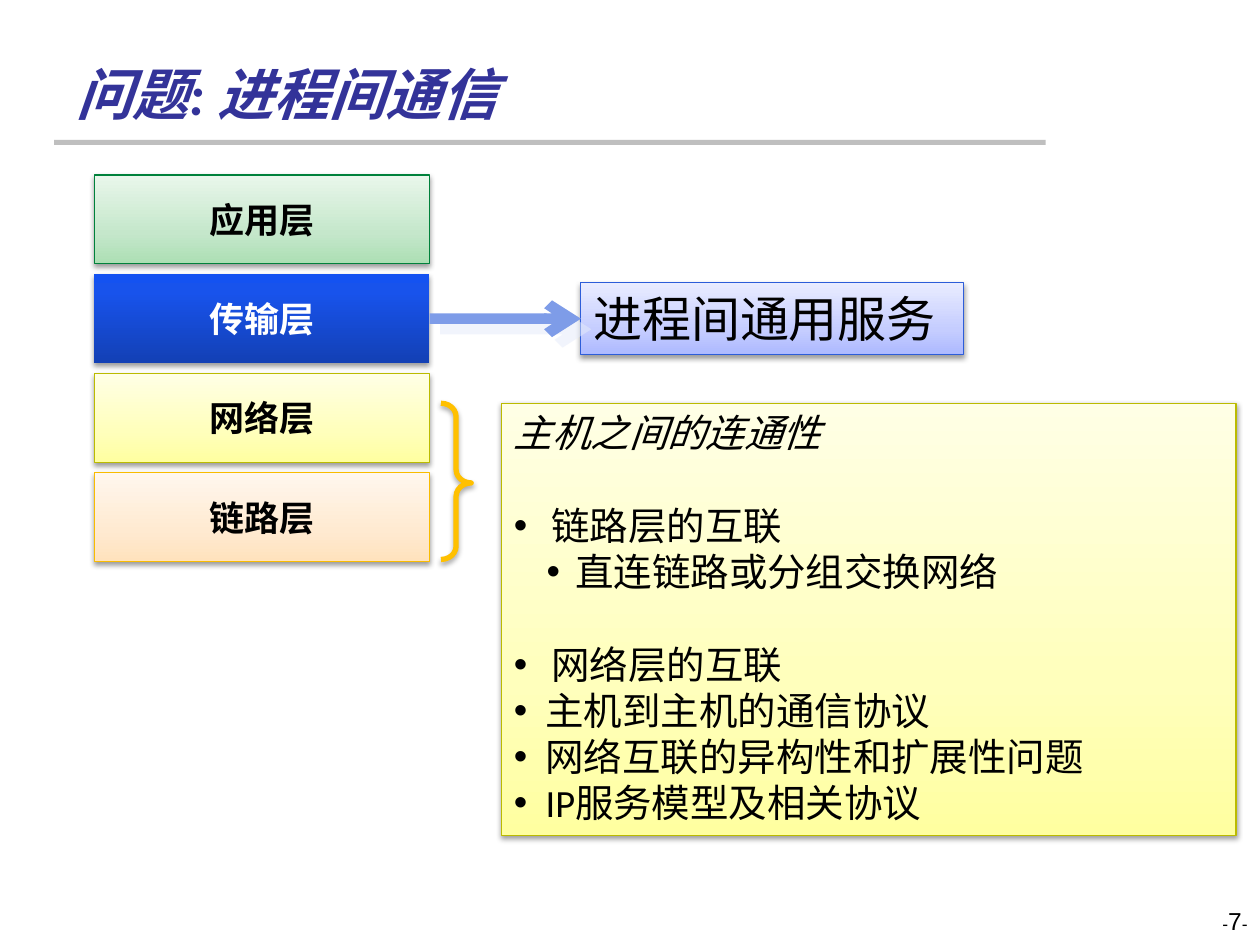
from lxml import etree
from pptx import Presentation
from pptx.dml.color import RGBColor
from pptx.enum.shapes import MSO_CONNECTOR, MSO_SHAPE
from pptx.enum.text import MSO_ANCHOR, PP_ALIGN
from pptx.oxml.ns import qn
from pptx.util import Cm, Pt

RECT, BRACE = MSO_SHAPE.RECTANGLE, MSO_SHAPE.RIGHT_BRACE
STRAIGHT = MSO_CONNECTOR.STRAIGHT
TOP, MIDDLE, BOTTOM = MSO_ANCHOR.TOP, MSO_ANCHOR.MIDDLE, MSO_ANCHOR.BOTTOM
LEFT, CENTER, RIGHT = PP_ALIGN.LEFT, PP_ALIGN.CENTER, PP_ALIGN.RIGHT
LEFT_SIDE, RIGHT_SIDE = 1, 3

# Content
TITLE = "问题: 进程间通信"
CALLOUT = "进程间通用服务"
PAGE_NUMBER = [("-", 10), ("7", 14), ("-", 10)]

GREEN = [(0, "ACDFB4"), (35, "C5E7CB"), (100, "E9F7EB")]
BLUE = [(0, "1340B5"), (80, "1853EC"), (100, "1452F1")]
YELLOW = [(0, "FFFFA0"), (35, "FFFFBC"), (100, "FFFFE5")]
ORANGE = [(0, "FFE2BD"), (35, "FFEAD1"), (100, "FFF7EE")]
LAVENDER = [(0, "ADB9FF"), (35, "C5CDFF"), (100, "E9ECFF")]

# name, gradient, outline, text colour
LAYERS = [
    ("应用层", GREEN, "00813B", "000000"),
    ("传输层", BLUE, None, "FFFFFF"),
    ("网络层", YELLOW, "BBBB00", "000000"),
    ("链路层", ORANGE, "F9BC00", "000000"),
]

# text, bullet position and text position in cm, starts a new group
DETAIL_HEAD = "主机之间的连通性"
DETAILS = [
    ("链路层的互联", 0, 0.76, True),
    ("直连链路或分组交换网络", 0.66, 1.24, False),
    ("网络层的互联", 0, 0.76, True),
    ("主机到主机的通信协议", 0, 0.64, False),
    ("网络互联的异构性和扩展性问题", 0, 0.64, False),
    ("IP服务模型及相关协议", 0, 0.64, False),
]
GROUP_GAP = 26.5

# Layer stack, in cm
STACK_LEFT, STACK_TOP = 1.9, 3.53
LAYER_WIDTH, LAYER_HEIGHT, LAYER_PITCH = 6.76, 1.79, 2.0


def rgb(value):
    return RGBColor.from_string(value)


def add_color(parent, value, alpha=None):
    color = etree.SubElement(parent, qn("a:srgbClr"), val=value)
    if alpha is not None:
        etree.SubElement(color, qn("a:alpha"), val=str(alpha * 1000))


def add_shadow(shape, value="000000", alpha=38, blur=3.1, distance=1.6, angle=90):
    properties = shape._element.spPr
    for old in properties.findall(qn("a:effectLst")):
        properties.remove(old)
    effects = etree.SubElement(properties, qn("a:effectLst"))
    shadow = etree.SubElement(
        effects, qn("a:outerShdw"), blurRad=str(Pt(blur)), dist=str(Pt(distance)),
        dir=str(angle * 60000), algn="tl", rotWithShape="0")
    add_color(shadow, value, alpha)


def add_gradient(shape, stops):
    gradient = etree.SubElement(shape._element.spPr, qn("a:gradFill"), rotWithShape="1")
    stop_list = etree.SubElement(gradient, qn("a:gsLst"))
    for position, value in stops:
        add_color(etree.SubElement(stop_list, qn("a:gs"), pos=str(position * 1000)), value)
    etree.SubElement(gradient, qn("a:lin"), ang=str(270 * 60000), scaled="0")


def set_outline(shape, value, width=0.75):
    if value is None:
        shape.line.fill.background()
    else:
        shape.line.color.rgb = rgb(value)
        shape.line.width = Pt(width)


def add_panel(page, place, stops, outline):
    panel = page.shapes.add_shape(RECT, *map(Cm, place))
    add_gradient(panel, stops)
    set_outline(panel, outline)
    add_shadow(panel)
    return panel


def style(para, size, color="000000", bold=False, italic=False, align=LEFT, font="Calibri"):
    para.alignment = align
    para.font.name = font
    para.font.size = Pt(size)
    para.font.bold = bold
    para.font.italic = italic
    para.font.color.rgb = rgb(color)


def write(shape, text, size, anchor=TOP, wrap=True, **looks):
    frame = shape.text_frame
    frame.word_wrap = wrap
    frame.vertical_anchor = anchor
    para = frame.paragraphs[0]
    para.text = text
    style(para, size, **looks)
    return frame


def add_bullet(para, bullet_at, text_at):
    properties = para._p.get_or_add_pPr()
    properties.set("marL", str(Cm(text_at)))
    properties.set("indent", str(Cm(bullet_at - text_at)))
    etree.SubElement(properties, qn("a:buFont"), typeface="Arial")
    etree.SubElement(properties, qn("a:buChar"), char="•")


deck = Presentation()
deck.slide_width, deck.slide_height = Cm(25.4), Cm(19.05)
page = deck.slides.add_slide(deck.slide_layouts[6])

# Title, rule and page number
rule = page.shapes.add_shape(RECT, Cm(1.09), Cm(2.82), Cm(19.99), Cm(0.1))
rule.shadow.inherit = False
rule.fill.solid()
rule.fill.fore_color.rgb = rgb("BFBFBF")
set_outline(rule, None)

number = page.shapes.add_textbox(Cm(19.48), Cm(18.14), Cm(5.92), Cm(1.27))
number.text_frame.word_wrap = True
number_para = number.text_frame.paragraphs[0]
style(number_para, 14, align=RIGHT, font="Arial")
for text, size in PAGE_NUMBER:
    span = number_para.add_run()
    span.text = text
    span.font.size = Pt(size)

title = page.shapes.add_textbox(Cm(1.3), Cm(0.71), Cm(20.96), Cm(1.98))
write(title, TITLE, 32, BOTTOM, color="333399", bold=True, italic=True)

# Layer stack
layers = {}
for index, (name, stops, outline, color) in enumerate(LAYERS):
    place = (STACK_LEFT, STACK_TOP + index * LAYER_PITCH, LAYER_WIDTH, LAYER_HEIGHT)
    layers[name] = add_panel(page, place, stops, outline)
    write(layers[name], name, 20, MIDDLE, color=color, bold=True, align=CENTER)

# Brace and details of the lower layers
brace = page.shapes.add_shape(BRACE, Cm(8.89), Cm(8.13), Cm(0.61), Cm(3.15))
brace.adjustments[0], brace.adjustments[1] = 0.44, 0.51
brace.fill.background()
set_outline(brace, "FFC000", 3)
add_shadow(brace, alpha=35, distance=1.8)

detail = add_panel(page, (10.11, 8.13, 14.81, 8.71), YELLOW, "BBBB00")
frame = write(detail, DETAIL_HEAD, 22, italic=True)
for text, bullet_at, text_at, new_group in DETAILS:
    para = frame.add_paragraph()
    para.text = text
    add_bullet(para, bullet_at, text_at)
    para.space_before = Pt(GROUP_GAP if new_group else 0)
    style(para, 22)

# Service of the transport layer
callout = add_panel(page, (11.71, 5.7, 7.72, 1.45), LAVENDER, "2D5DD9")
write(callout, CALLOUT, 28, wrap=False)

arrow = page.shapes.add_connector(STRAIGHT, 0, 0, 0, 0)
arrow.begin_connect(layers["传输层"], RIGHT_SIDE)
arrow.end_connect(callout, LEFT_SIDE)
set_outline(arrow, "7E9CE8", 6)
etree.SubElement(arrow.get_or_add_ln(), qn("a:tailEnd"), type="arrow")
add_shadow(arrow, "E5EBFA", 50, 0, 8.5, 45)

deck.save("out.pptx")
